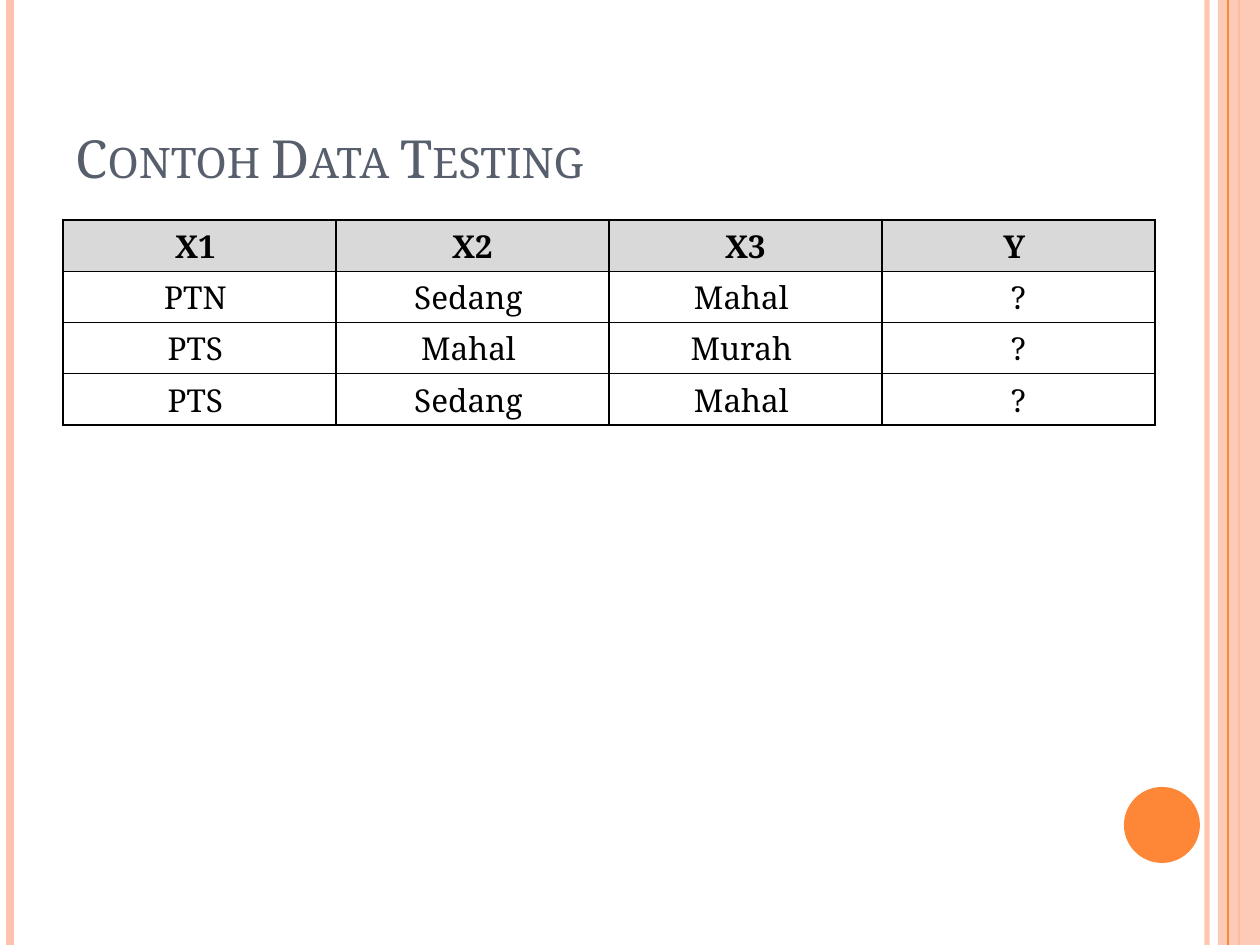
from lxml import etree
from pptx import Presentation
from pptx.dml.color import RGBColor
from pptx.enum.shapes import MSO_CONNECTOR, MSO_SHAPE
from pptx.enum.text import MSO_ANCHOR, PP_ALIGN
from pptx.oxml.ns import qn
from pptx.util import Pt

PIXEL = 914400 // 126
WIDTH, HEIGHT = 1260, 945
PEACH = RGBColor(0xFE, 0xC3, 0xAE)
ORANGE = RGBColor(0xFE, 0x86, 0x37)
SLATE = RGBColor(0x57, 0x5F, 0x6D)
BLACK = RGBColor(0, 0, 0)
GREY = RGBColor(0xD9, 0xD9, 0xD9)


def px(*lengths):
    return [length * PIXEL for length in lengths]


def set_alpha(properties, percent):
    color = next(properties.iter(qn("a:srgbClr")))
    etree.SubElement(color, qn("a:alpha"), val=str(percent * 1000))


class SlideBuilder:
    font = "Noto Serif"

    def __init__(self, slide):
        self.slide = slide
        self.shapes = slide.shapes

    def style(self, run, size, color, bold=False):
        run.font.name = self.font
        run.font.size = Pt(size)
        run.font.color.rgb = color
        run.font.bold = bold

    def stripe(self, x, color, width, opacity=100):
        line = self.shapes.add_connector(MSO_CONNECTOR.STRAIGHT, *px(x, 0, x, HEIGHT))
        line.line.color.rgb = color
        line.line.width = Pt(width)
        properties = line._element.spPr
        if opacity < 100:
            set_alpha(properties, opacity)
        etree.SubElement(properties, qn("a:effectLst"))

    def shape(self, kind, box, color, opacity=100):
        shape = self.shapes.add_shape(kind, *px(*box))
        shape.shadow.inherit = False
        shape.fill.solid()
        shape.fill.fore_color.rgb = color
        shape.line.fill.background()
        if opacity < 100:
            set_alpha(shape._element.spPr, opacity)

    def title(self, text, box):
        frame = self.shapes.add_textbox(*px(*box)).text_frame
        frame.word_wrap = True
        frame.vertical_anchor = MSO_ANCHOR.BOTTOM
        run = frame.paragraphs[0].add_run()
        run.text = text
        self.style(run, 30, SLATE)
        run.font._element.set("cap", "small")

    def borders(self, cell):
        properties = cell._tc.get_or_add_tcPr()
        for side in ("lnL", "lnR", "lnT", "lnB"):
            line = etree.SubElement(properties, qn("a:" + side), w=str(Pt(1)))
            fill = etree.SubElement(line, qn("a:solidFill"))
            etree.SubElement(fill, qn("a:srgbClr"), val=str(BLACK))

    def cell(self, cell, text, header):
        self.borders(cell)
        if header:
            cell.fill.solid()
            cell.fill.fore_color.rgb = GREY
        else:
            cell.fill.background()
        cell.vertical_anchor = MSO_ANCHOR.MIDDLE
        cell.margin_left = cell.margin_right = cell.margin_top = PIXEL
        cell.margin_bottom = 0
        paragraph = cell.text_frame.paragraphs[0]
        paragraph.alignment = PP_ALIGN.CENTER
        run = paragraph.add_run()
        run.text = text
        self.style(run, 18, BLACK, header)

    def table(self, rows, box):
        frame = self.shapes.add_table(len(rows), len(rows[0]), *px(*box))
        for r, row in enumerate(rows):
            for c, text in enumerate(row):
                self.cell(frame.table.cell(r, c), text, r == 0)


prs = Presentation()
prs.slide_width, prs.slide_height = px(WIDTH, HEIGHT)
page = SlideBuilder(prs.slides.add_slide(prs.slide_layouts[6]))

page.stripe(1207, PEACH, 3, 93)
page.stripe(10, PEACH, 4.5)
page.stripe(1239, ORANGE, 1.5)
page.shape(MSO_SHAPE.RECTANGLE, (1218, 0, 42, HEIGHT), PEACH, 87)
page.stripe(1228, ORANGE, 0.75)
page.shape(MSO_SHAPE.OVAL, (1124, 787, 76, 76), ORANGE)
page.title("Contoh Data Testing", (63, 38, 1029, 157))
page.table([
    ("X1 ", "X2", "X3", "Y "),
    ("PTN ", "Sedang ", "Mahal ", "?"),
    ("PTS ", "Mahal ", "Murah ", "?"),
    ("PTS ", "Sedang ", "Mahal ", "?"),
], (63, 220, 1092, 205))

prs.save("out.pptx")
